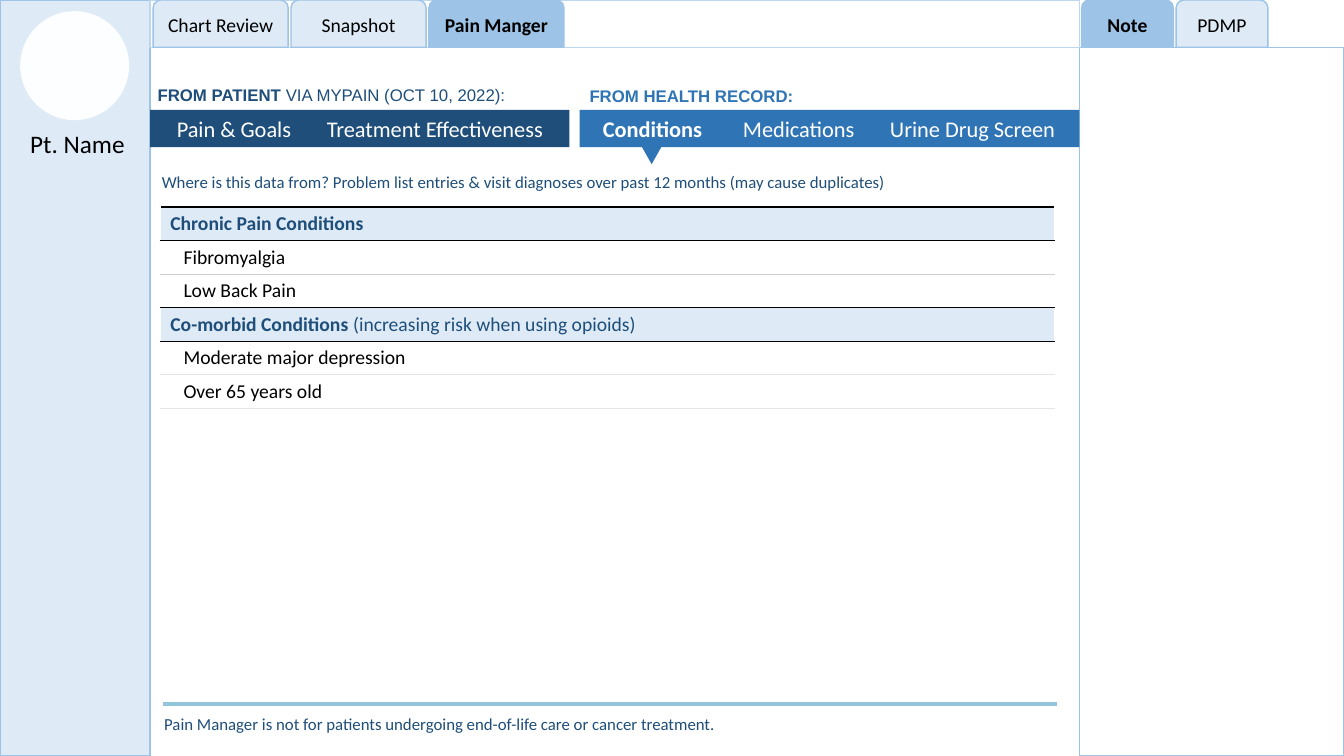
"""Build the pain manager screen with its tabs, menus and condition list."""
from lxml import etree
from pptx import Presentation, oxml
from pptx.dml.color import RGBColor
from pptx.enum import shapes, text
from pptx.oxml import ns
from pptx.util import Pt

HUES = {"pale": "DEEBF7", "sky": "9DC3E6", "light": "BDD7EE", "navy": "1E4E79",
        "blue": "2F74B5", "teal": "93C5DA", "white": "FFFFFF", "black": "000000",
        "face": "FCFEFF", "grey": "D0CECE", "mist": "E7E6E6"}
RGB = {name: RGBColor.from_string(code) for name, code in HUES.items()}
KIND = shapes.MSO_SHAPE
CENTER = text.PP_ALIGN.CENTER


def write(frame, runs, size, hue, face="Calibri", align=None, stops=()):
    """Fill a text frame with one paragraph of (words, bold) runs."""
    frame.word_wrap = True
    para = frame.paragraphs[0]
    para.alignment = align or text.PP_ALIGN.LEFT
    if stops:
        tabs = etree.SubElement(para._p.get_or_add_pPr(), ns.qn("a:tabLst"))
        for stop in stops:
            etree.SubElement(tabs, ns.qn("a:tab"), pos=str(Pt(stop)), algn="l")
    font = para.font
    font.name, font.size, font.color.rgb = face, Pt(size), RGB[hue]
    bolds = {bold for _, bold in runs}
    if len(bolds) == 1:
        font.bold = bolds.pop()
    for words, bold in runs:
        run = para.add_run()
        run.text = words
        if len(runs) > 1:
            run.font.bold = bold


def draw(kind, left, top, width, height, fill, edge=None):
    """Add a flat filled shape, outlined when an edge colour is given."""
    shape = slide.shapes.add_shape(kind, Pt(left), Pt(top), Pt(width), Pt(height))
    shape.shadow.inherit = False
    shape.fill.solid()
    shape.fill.fore_color.rgb = RGB[fill]
    if edge:
        shape.line.color.rgb = RGB[edge]
        shape.line.width = Pt(1)
    else:
        shape.line.fill.background()
    return shape


deck = Presentation()
deck.slide_width, deck.slide_height = Pt(960), Pt(540)
slide = deck.slides.add_slide(deck.slide_layouts[6])

draw(KIND.RECTANGLE, 0, 0, 107.3, 540, "pale", "sky")
draw(KIND.OVAL, 14.4, 8, 77.8, 77.8, "face")
draw(KIND.RECTANGLE, 771, 33.8, 189, 506.2, "white", "sky")
draw(KIND.RECTANGLE, 107.3, 0, 663.7, 33.8, "white", "light")

groups = [(109.4, 96.5, ["Chart Review", "Snapshot", "Pain Manger"], "Pain Manger"),
          (772.6, 65.5, ["Note", "PDMP"], "Note")]
for left, width, names, live in groups:
    for i, name in enumerate(names):
        tab = draw(KIND.ROUND_2_SAME_RECTANGLE, left + i * (width + 2), 0, width, 33.8,
                   "sky" if name == live else "pale", "sky")
        tab.text_frame.vertical_anchor = text.MSO_ANCHOR.MIDDLE
        write(tab.text_frame, [(name, name == live)], 14, "black", align=CENTER)

menus = [(107.3, 299.5, "navy", 19, [107.2],
          [("Pain & Goals\tTreatment Effectiveness", False)]),
         (414, 357, "blue", 16.7, [100, 205],
          [("Conditions", True), ("\tMedications\tUrine Drug Screen", False)])]
for left, width, hue, inset, stops, runs in menus:
    bar = draw(KIND.RECTANGLE, left, 78.5, width, 26.6, hue)
    frame = bar.text_frame
    frame.margin_left, frame.margin_right = Pt(inset), 0
    frame.vertical_anchor = text.MSO_ANCHOR.MIDDLE
    write(frame, runs, 16, "white", stops=stops)
mark = draw(KIND.ISOSCELES_TRIANGLE, 458.6, 105.1, 13.7, 12.2, "blue")
mark.rotation = 180

labels = [
    (14.4, 87.8, 86.4, 29, 18, "black", "Calibri", [("Pt. Name", False)]),
    (105.5, 57, 285, 21.8, 12, "navy", "Arial",
     [("FROM PATIENT ", True), ("VIA MYPAIN (OCT 10, 2022):", False)]),
    (414, 57.6, 348, 21.8, 12, "blue", "Arial", [("FROM HEALTH RECORD:", True)]),
    (108.5, 118.8, 646, 21.8, 12, "navy", "Calibri",
     [("Where is this data from? Problem list entries & visit diagnoses "
       "over past 12 months (may cause duplicates)", False)]),
    (110.2, 506.4, 701, 21.8, 12, "navy", "Calibri",
     [("Pain Manager is not for patients undergoing end-of-life care "
       "or cancer treatment.", False)])]
for left, top, width, height, size, hue, face, runs in labels:
    box = slide.shapes.add_textbox(Pt(left), Pt(top), Pt(width), Pt(height))
    write(box.text_frame, runs, size, hue, face)

rows = [[("Chronic Pain Conditions", True)],
        [("Fibromyalgia", False)],
        [("Low Back Pain", False)],
        [("Co-morbid Conditions ", True), ("(increasing risk when using opioids)", False)],
        [("Moderate major depression", False)],
        [("Over 65 years old", False)]]
rules = [("black", 1), ("black", 1), ("grey", 0.5), ("black", 1),
         ("black", 1), ("mist", 1), ("mist", 1)]
side = ("white", 1)
table = slide.shapes.add_table(len(rows), 1, Pt(114.5), Pt(147.8), Pt(638.6), Pt(144)).table
table.first_row = table.horz_banding = False
for i, runs in enumerate(rows):
    head = runs[0][1]
    table.rows[i].height = Pt(24)
    cell = table.cell(i, 0)
    cell.margin_left = Pt(7.2 if head else 16.6)
    cell.margin_top = cell.margin_bottom = Pt(3)
    cell.vertical_anchor = text.MSO_ANCHOR.MIDDLE
    write(cell.text_frame, runs, 14, "navy" if head else "black")
    props = cell._tc.get_or_add_tcPr()
    for edge, (hue, width) in zip("LRTB", [side, side, rules[i], rules[i + 1]]):
        line = etree.SubElement(props, ns.qn("a:ln" + edge), w=str(Pt(width)))
        paint = etree.SubElement(line, ns.qn("a:solidFill"))
        etree.SubElement(paint, ns.qn("a:srgbClr"), val=HUES[hue])
    if head:
        cell.fill.solid()
        cell.fill.fore_color.rgb = RGB["pale"]
    else:
        cell.fill.background()

foot = slide.shapes.add_connector(shapes.MSO_CONNECTOR.STRAIGHT,
                                  Pt(116.6), Pt(503), Pt(755.3), Pt(503))
foot.line.color.rgb = RGB["teal"]
foot.line.width = Pt(3)
etree.SubElement(foot._element.spPr, ns.qn("a:effectLst"))

deck.save("out.pptx")
